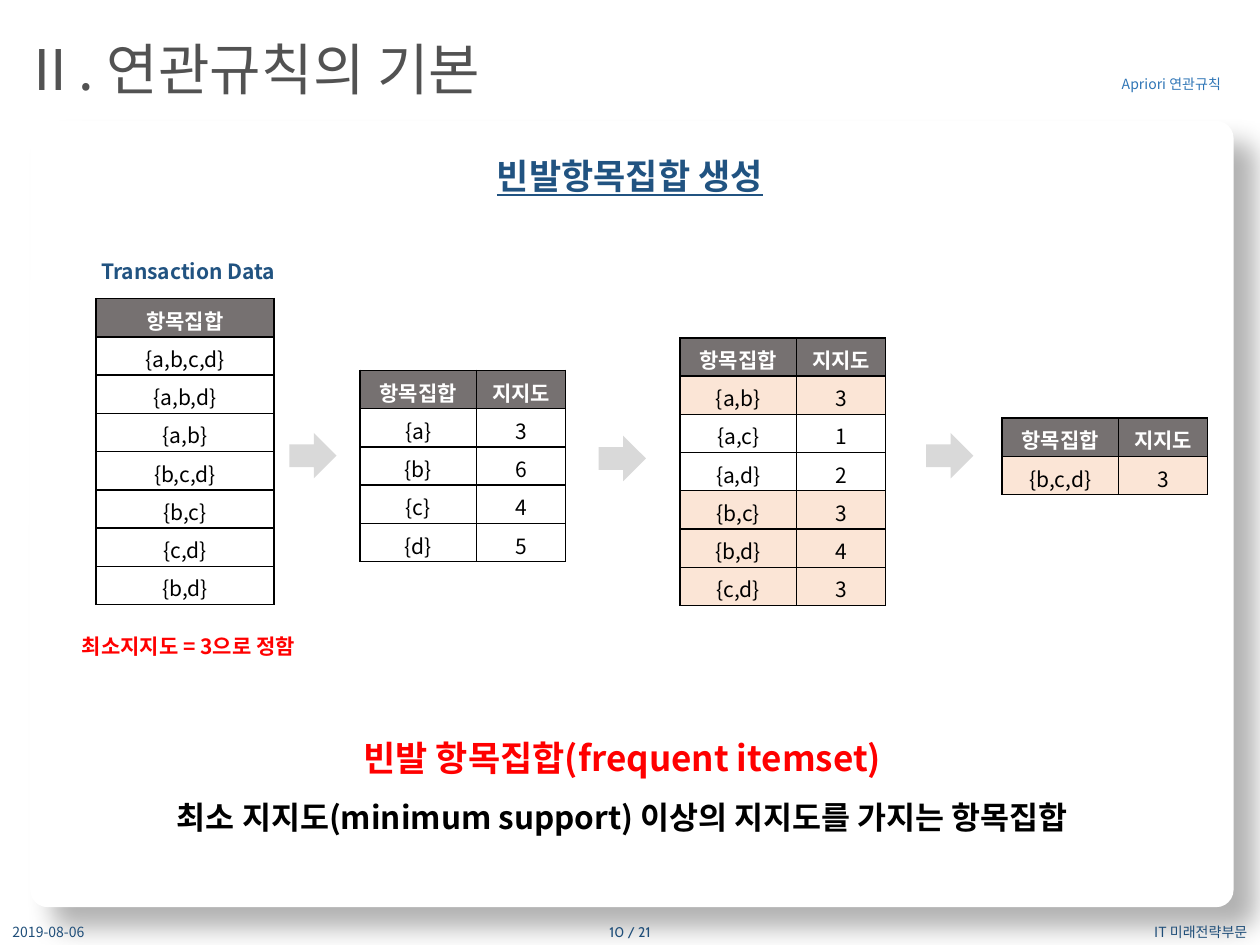
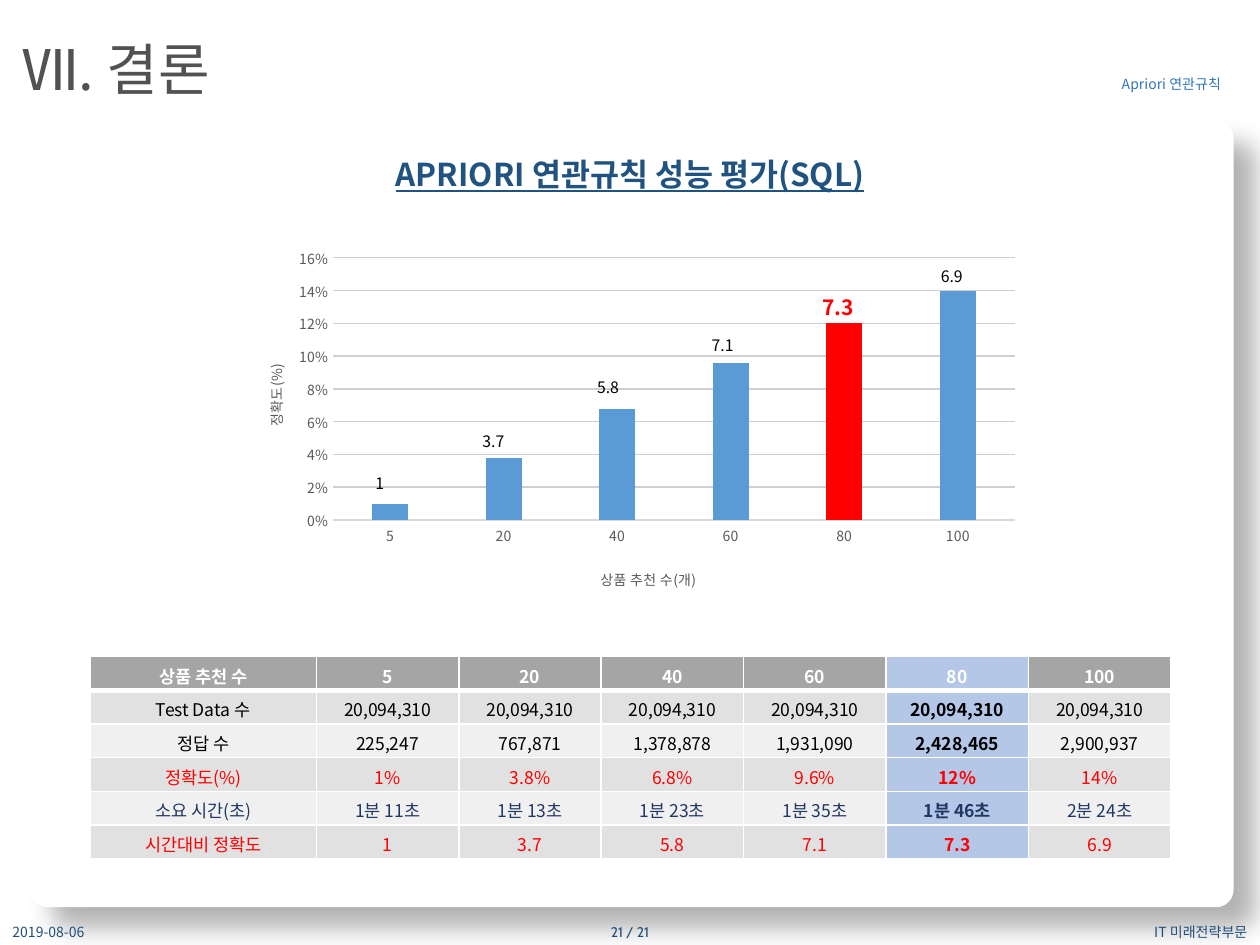
from lxml import etree
from pptx import Presentation
from pptx.chart.data import CategoryChartData
from pptx.dml.color import RGBColor
from pptx.enum import chart as ch, shapes, text
from pptx.oxml import ns, parse_xml
from pptx.util import Pt

FONT, PAGE_FONT = "Noto Sans CJK KR", "Cabin"
WHITE = RGBColor(0xFF, 0xFF, 0xFF)
BLACK = RGBColor(0, 0, 0)
RED = RGBColor(0xFF, 0, 0)
NAVY = RGBColor(0x1F, 0x4E, 0x79)
HEADING = RGBColor(0x21, 0x53, 0x81)
TITLE = RGBColor(0x52, 0x52, 0x52)
TOPIC = RGBColor(0x2E, 0x75, 0xB6)
HEAD_FILL = RGBColor(0x76, 0x71, 0x71)
FREQUENT = RGBColor(0xFB, 0xE5, 0xD6)
ARROW = RGBColor(0xD9, 0xD9, 0xD9)
GRID = RGBColor(0xD0, 0xCE, 0xCE)
AXIS_TEXT = RGBColor(0x59, 0x59, 0x59)
BAR = RGBColor(0x5B, 0x9B, 0xD5)
TIME_TEXT = RGBColor(0x20, 0x38, 0x64)
RESULT_HEAD = RGBColor(0xA5, 0xA5, 0xA5)
BANDS = RGBColor(0xE1, 0xE1, 0xE1), RGBColor(0xF0, 0xF0, 0xF0)
BEST = RGBColor(0xB4, 0xC7, 0xE7)

LEFT, CENTER, RIGHT = (text.PP_ALIGN.LEFT, text.PP_ALIGN.CENTER,
                       text.PP_ALIGN.RIGHT)
TOP, MIDDLE = text.MSO_ANCHOR.TOP, text.MSO_ANCHOR.MIDDLE


def style(font, size, color, bold=False, underline=False, name=FONT):
    font.size, font.bold, font.name = Pt(size), bold, name
    font.color.rgb = color
    if underline:
        font.underline = True
    ea = etree.SubElement(font._rPr, ns.qn("a:ea"))
    ea.set("typeface", name)


def place(sp, box):
    sp.left, sp.top, sp.width, sp.height = (Pt(v) for v in box)


def add_text(s, box, lines, align=LEFT, anchor=TOP, spacing=None):
    """Each line is (wording, size, colour, further style arguments...)."""
    tf = s.shapes.add_textbox(*(Pt(v) for v in box)).text_frame
    tf.word_wrap, tf.vertical_anchor = True, anchor
    tf.text = "\n".join(line[0] for line in lines)
    for p, line in zip(tf.paragraphs, lines):
        p.alignment = align
        if spacing:
            p.line_spacing = spacing
        style(p.runs[0].font, *line[1:])


def add_box(s, kind, box, color):
    sp = s.shapes.add_shape(kind, *(Pt(v) for v in box))
    sp.shadow.inherit = False
    sp.fill.solid()
    sp.fill.fore_color.rgb = color
    sp.line.fill.background()
    return sp


def add_card(s):
    sp = add_box(s, shapes.MSO_SHAPE.ROUNDED_RECTANGLE,
                 (17.28, 69.12, 687.6, 449.28), WHITE)
    sp.adjustments[0] = 0.022
    effects = sp._element.spPr.find(ns.qn("a:effectLst"))
    effects.append(parse_xml(
        f'<a:outerShdw {ns.nsdecls("a")} blurRad="{Pt(15)}" dist="{Pt(18)}" '
        'dir="2700000" algn="tl" rotWithShape="0"><a:srgbClr val="000000">'
        '<a:alpha val="30000"/></a:srgbClr></a:outerShdw>'))


def new_slide(prs, title, page, heading, heading_size):
    s = prs.slides.add_slide(prs.slide_layouts[5])
    add_text(s, (471.6, 27.36, 233.28, 41.04),
             [("Apriori 연관규칙", 8, TOPIC)], RIGHT, MIDDLE)
    add_card(s)
    # Footer
    add_text(s, (0, 525.6, 162, 14.4), [("2019-08-06", 8, NAVY)], LEFT, MIDDLE)
    add_text(s, (279, 525.4, 162, 14.4),
             [(page, 8, NAVY, False, False, PAGE_FONT)], CENTER, MIDDLE)
    add_text(s, (583.2, 524.9, 136.8, 15.1),
             [("IT 미래전략부문", 8, NAVY)], RIGHT, MIDDLE)
    # Title and heading
    place(s.shapes.title, (5.76, 15.84, 459.36, 46.08))
    tf = s.shapes.title.text_frame
    tf.text, tf.vertical_anchor = title, TOP
    tf.auto_size = text.MSO_AUTO_SIZE.NONE
    tf.paragraphs[0].alignment = LEFT
    style(tf.paragraphs[0].runs[0].font, 32, TITLE)
    add_text(s, (160, 85, 400, 30),
             [(heading, heading_size, HEADING, True, True)], CENTER)
    return s


def set_cell(cell, wording, size, color, bold, fill, line, bottom=1):
    cell.text = wording
    p = cell.text_frame.paragraphs[0]
    p.alignment = CENTER
    style(p.runs[0].font, size, color, bold)
    tcPr = cell._tc.get_or_add_tcPr()
    for side in "LRTB":
        width = Pt(bottom if side == "B" else 1)
        tcPr.append(parse_xml(
            f'<a:ln{side} {ns.nsdecls("a")} w="{width}"><a:solidFill>'
            f'<a:srgbClr val="{line}"/></a:solidFill></a:ln{side}>'))
    if fill is None:
        cell.fill.background()
    else:
        cell.fill.solid()
        cell.fill.fore_color.rgb = fill


def add_grid(s, left, top, widths, row_height, count):
    table = s.shapes.add_table(count, len(widths), Pt(left), Pt(top),
                               Pt(sum(widths)), Pt(row_height * count)).table
    for col, width in zip(table.columns, widths):
        col.width = Pt(width)
    for row in table.rows:
        row.height = Pt(row_height)
    return table


def add_itemsets(s, left, top, widths, rows, frequent=()):
    rows = [("항목집합", "지지도")[:len(widths)]] + rows
    table = add_grid(s, left, top, widths, 21.88, len(rows))
    for i, row in enumerate(rows):
        fill = HEAD_FILL if i == 0 else FREQUENT if row[0] in frequent else None
        for j, wording in enumerate(row):
            set_cell(table.cell(i, j), wording, 12, BLACK if i else WHITE,
                     i == 0, fill, BLACK)


def add_results(s, rows, best):
    colors = [WHITE, BLACK, BLACK, RED, TIME_TEXT, RED]
    table = add_grid(s, 51.4, 375.2, [129.4] + [81.4] * 6, 19.2, len(rows))
    for i, (row, color) in enumerate(zip(rows, colors)):
        band = BANDS[(i - 1) % 2] if i else RESULT_HEAD
        for j, wording in enumerate(row):
            set_cell(table.cell(i, j), wording, 10, color,
                     i == 0 or j == best, BEST if j == best else band,
                     WHITE, 1 if i else 3)


def set_layout(parent, index, x, y, w=None, h=None):
    """Fix a chart part's place, as fractions of the chart."""
    parts = [("xMode", "edge"), ("yMode", "edge"), ("x", x), ("y", y)]
    if w:
        parts = [("layoutTarget", "inner")] + parts + [("w", w), ("h", h)]
    for old in parent.findall(ns.qn("c:layout")):
        parent.remove(old)
    inner = "".join(f'<c:{tag} val="{val}"/>' for tag, val in parts)
    parent.insert(index, parse_xml(
        f'<c:layout {ns.nsdecls("c")}><c:manualLayout>{inner}'
        '</c:manualLayout></c:layout>'))


def set_axis(axis, title, x, y):
    axis.major_tick_mark = axis.minor_tick_mark = ch.XL_TICK_MARK.NONE
    style(axis.tick_labels.font, 8, AXIS_TEXT)
    tf = axis.axis_title.text_frame
    tf.text = title
    style(tf.paragraphs[0].runs[0].font, 8, AXIS_TEXT)
    set_layout(axis.axis_title._element, 1, x, y)


def add_accuracy_chart(s, counts, accuracy, best):
    data = CategoryChartData()
    data.categories = counts
    data.add_series("정확도", accuracy)
    chart = s.shapes.add_chart(ch.XL_CHART_TYPE.COLUMN_CLUSTERED, Pt(131),
                               Pt(136.8), Pt(458), Pt(211), data).chart
    chart.has_legend = chart.has_title = False
    style(chart.font, 10, BLACK)
    plot = chart.plots[0]
    plot.vary_by_categories = False
    plot.gap_width, plot.overlap = 219, -27
    bars = plot.series[0]
    for fmt, color in ((bars.format, BAR), (bars.points[best].format, RED)):
        fmt.fill.solid()
        fmt.fill.fore_color.rgb = color
    set_axis(chart.category_axis, "상품 추천 수(개)", 0.46, 0.88)
    chart.category_axis.format.line.color.rgb = ARROW
    axis = chart.value_axis
    set_axis(axis, "정확도(%)", 0.04, 0.33)
    axis.minimum_scale, axis.maximum_scale, axis.major_unit = 0, 0.16, 0.02
    axis.tick_labels.number_format = "0%"
    axis.tick_labels.number_format_is_linked = False
    axis.format.line.fill.background()
    axis.major_gridlines.format.line.color.rgb = GRID
    axis.major_gridlines.format.line.width = Pt(0.75)
    set_layout(chart._chartSpace.chart.plotArea, 0, 0.13, 0.05, 0.85, 0.71)


def itemset_slide(prs):
    s = new_slide(prs, "Ⅱ. 연관규칙의 기본", "10 / 21", "빈발항목집합 생성", 20)
    # Itemset tables, joined by arrows
    pair = (66.6, 50.9)
    baskets = ["{a,b,c,d}", "{a,b,d}", "{a,b}", "{b,c,d}", "{b,c}", "{c,d}",
               "{b,d}"]
    add_itemsets(s, 55, 170.6, (101.5,), [(b,) for b in baskets])
    add_itemsets(s, 205.7, 211.7, pair,
                 [("{a}", "3"), ("{b}", "6"), ("{c}", "4"), ("{d}", "5")])
    add_itemsets(s, 388.6, 193, pair,
                 [("{a,b}", "3"), ("{a,c}", "1"), ("{a,d}", "2"),
                  ("{b,c}", "3"), ("{b,d}", "4"), ("{c,d}", "3")],
                 ("{a,b}", "{b,c}", "{b,d}", "{c,d}"))
    add_itemsets(s, 572.6, 239, pair, [("{b,c,d}", "3")], ("{b,c,d}",))
    for left, top in ((165.3, 247.4), (342.1, 249), (529.2, 247.4)):
        add_box(s, shapes.MSO_SHAPE.RIGHT_ARROW, (left, top, 27, 26), ARROW)
    # Captions
    add_text(s, (48.2, 144, 118.8, 21.6),
             [("Transaction Data", 12, HEADING, True)], CENTER)
    add_text(s, (18, 351.4, 179.3, 25.9),
             [("최소지지도 = 3으로 정함", 12, RED, True)], CENTER, spacing=1.5)
    # Definition
    add_text(s, (58.3, 405.4, 594.7, 76.3),
             [("빈발 항목집합(frequent itemset)", 20, RED, True),
              ("최소 지지도(minimum support) 이상의 지지도를 가지는 항목집합",
               18, BLACK, True)], CENTER, spacing=1.5)


def result_slide(prs):
    s = new_slide(prs, "Ⅶ. 결론", "21 / 21",
                  "APRIORI 연관규칙 성능 평가(SQL)", 18)
    counts = ["5", "20", "40", "60", "80", "100"]
    accuracy = [0.01, 0.038, 0.068, 0.096, 0.12, 0.14]
    per_time = ["1", "3.7", "5.8", "7.1", "7.3", "6.9"]
    best = per_time.index("7.3")
    add_accuracy_chart(s, counts, accuracy, best)
    # Accuracy per time above each bar
    spots = [(207.4, 267.1), (268.6, 243.4), (334.1, 212.4), (399.6, 188.6),
             (463, 164.9), (530.6, 149)]
    for i, (wording, (left, top)) in enumerate(zip(per_time, spots)):
        look = (12, RED, True) if i == best else (9, BLACK)
        add_text(s, (left, top, 33.1, 20), [(wording, *look)])
    # Results table
    add_results(s, [
        ["상품 추천 수"] + counts,
        ["Test Data 수"] + ["20,094,310"] * 6,
        ["정답 수", "225,247", "767,871", "1,378,878", "1,931,090",
         "2,428,465", "2,900,937"],
        ["정확도(%)"] + [f"{a * 100:.3g}%" for a in accuracy],
        ["소요 시간(초)", "1분 11초", "1분 13초", "1분 23초", "1분 35초",
         "1분 46초", "2분 24초"],
        ["시간대비 정확도"] + per_time], best + 1)


def main():
    prs = Presentation()
    prs.slide_width, prs.slide_height = Pt(720), Pt(540)
    itemset_slide(prs)
    result_slide(prs)
    prs.save("out.pptx")


if __name__ == "__main__":
    main()
